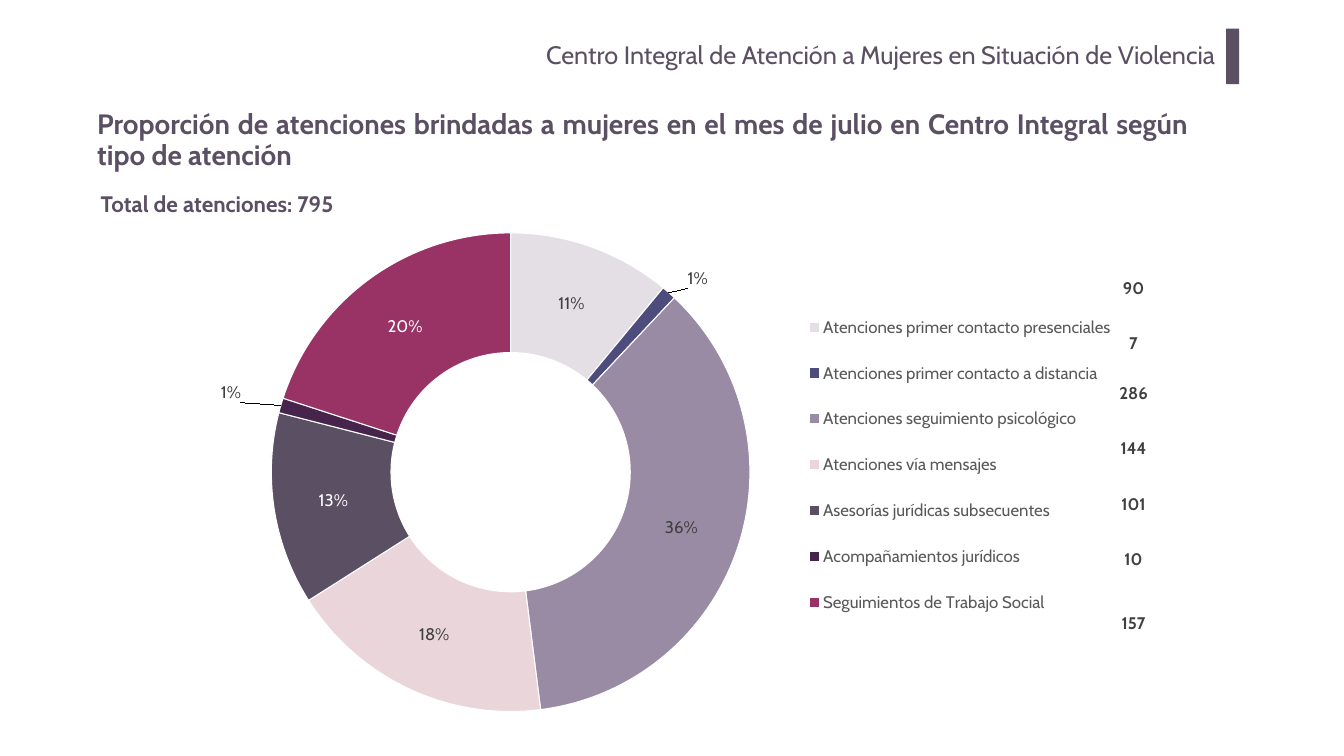
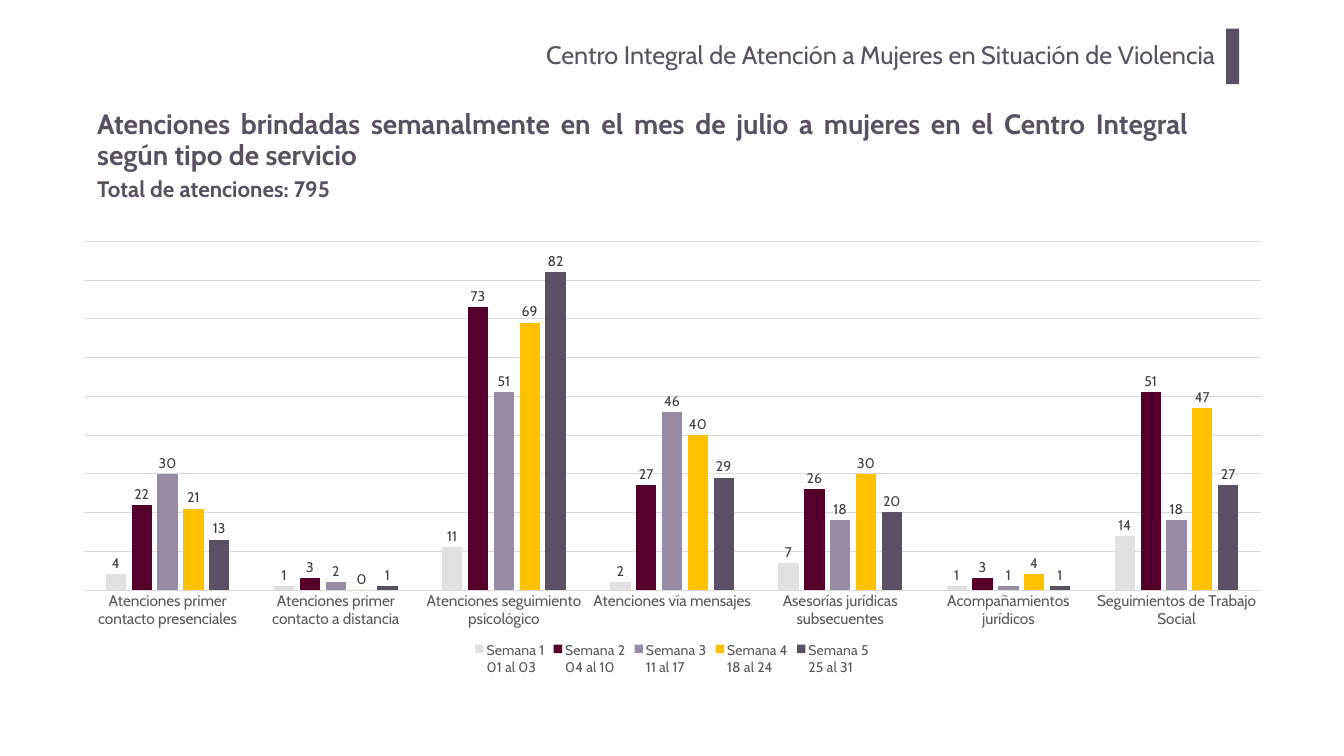
import pptx
import pptx.chart.data
import pptx.dml.color
import pptx.enum.chart
import pptx.enum.shapes
import pptx.enum.text
import pptx.oxml
import pptx.oxml.ns
import pptx.util

RGB = pptx.dml.color.RGBColor
Pt = pptx.util.Pt
ALIGN = pptx.enum.text.PP_ALIGN
ANCHOR = pptx.enum.text.MSO_ANCHOR
LEGEND = pptx.enum.chart.XL_LEGEND_POSITION
CHART = pptx.enum.chart.XL_CHART_TYPE
qn = pptx.oxml.ns.qn

PLUM = RGB(0x5B, 0x4F, 0x63)
MIST = RGB(0xE3, 0xDF, 0xE5)
LILAC = RGB(0x99, 0x8B, 0xA3)
INDIGO = RGB(0x4D, 0x4C, 0x7D)
BLUSH = RGB(0xE9, 0xD5, 0xDA)
GRAPE = RGB(0x46, 0x24, 0x4C)
MAGENTA = RGB(0x99, 0x33, 0x66)
WINE = RGB(0x54, 0x00, 0x2A)
AMBER = RGB(0xFF, 0xC0, 0x00)
INK = RGB(0x40, 0x40, 0x40)
GREY = RGB(0x59, 0x59, 0x59)
RULE = RGB(0xD9, 0xD9, 0xD9)
WHITE = RGB(0xFF, 0xFF, 0xFF)
BLACK = RGB(0, 0, 0)

CENTRE = "Centro Integral de Atención a Mujeres en Situación de Violencia"
TOTAL = "Total de atenciones: 795"
SERVICES = [
    "Atenciones primer contacto presenciales",
    "Atenciones primer contacto a distancia",
    "Atenciones seguimiento psicológico",
    "Atenciones vía mensajes",
    "Asesorías jurídicas subsecuentes",
    "Acompañamientos jurídicos",
    "Seguimientos de Trabajo Social",
]
SHARES = [11, 1, 36, 18, 13, 1, 20]
SHARE_COLOURS = [MIST, INDIGO, LILAC, BLUSH, PLUM, GRAPE, MAGENTA]
# Colour and shift of the share labels that differ from the rest
SHARE_LABELS = {1: (INK, (0.07, -0.12)), 4: (WHITE, None),
                5: (INK, (-0.11, -0.06)), 6: (WHITE, None)}
# Count of each service and the row where it stands
COUNTS = [(90, 36.47), (7, 43.73), (286, 50.33), (144, 57.6),
          (101, 64.93), (10, 72.27), (157, 80.67)]
WEEKS = [
    ("Semana 1\n01 al 03", MIST, (4, 1, 11, 2, 7, 1, 14)),
    ("Semana 2\n04 al 10", WINE, (22, 3, 73, 27, 26, 3, 51)),
    ("Semana 3\n11 al 17", LILAC, (30, 2, 51, 46, 18, 1, 18)),
    ("Semana 4\n18 al 24", AMBER, (21, 0, 69, 40, 30, 4, 47)),
    ("Semana 5\n25 al 31", PLUM, (13, 1, 82, 29, 20, 1, 27)),
]


def set_layout(parent, index, **parts):
    """Give a chart part a manual layout, in shares of the chart."""
    old = parent.find(qn("c:layout"))
    if old is not None:
        parent.remove(old)
    tags = "".join(f'<c:{k} val="{v}"/>' for k, v in parts.items())
    parent.insert(index, pptx.oxml.parse_xml(
        f'<c:layout {pptx.oxml.ns.nsdecls("c")}>'
        f'<c:manualLayout>{tags}</c:manualLayout></c:layout>'))


class Report:
    """Holds the style and the current slide; lengths are on a 100 by 100 grid."""

    FONT = "Cabin"
    GRID = 100

    def __init__(self):
        self.prs = pptx.Presentation()
        self.prs.slide_width = pptx.util.Inches(26.67)
        self.prs.slide_height = pptx.util.Inches(15)
        self.s = None

    def cells(self, left, top, width, height):
        col = self.prs.slide_width / self.GRID
        row = self.prs.slide_height / self.GRID
        return [pptx.util.Emu(round(n * unit)) for n, unit in
                zip((left, top, width, height), (col, row, col, row))]

    def style(self, font, size, colour, bold=False, name=FONT):
        font.name, font.size, font.bold = name, Pt(size), bold
        font.color.rgb = colour

    def fill_frame(self, tf, words, size, colour, bold=False, align=ALIGN.LEFT):
        tf.word_wrap = True
        tf.auto_size = pptx.enum.text.MSO_AUTO_SIZE.NONE
        p = tf.paragraphs[0]
        p.alignment = align
        r = p.add_run()
        r.text = words
        self.style(r.font, size, colour, bold)
        return p

    def text(self, words, box, size, colour=PLUM, bold=True, align=ALIGN.LEFT):
        tf = self.s.shapes.add_textbox(*self.cells(*box)).text_frame
        self.fill_frame(tf, words, size, colour, bold, align)
        return tf

    def bar(self, box, colour):
        sp = self.s.shapes.add_shape(
            pptx.enum.shapes.MSO_SHAPE.RECTANGLE, *self.cells(*box))
        sp.shadow.inherit = False
        sp.fill.solid()
        sp.fill.fore_color.rgb = colour
        sp.line.fill.background()

    def title(self, words):
        sp = self.s.shapes.title
        sp.left, sp.top, sp.width, sp.height = self.cells(6.86, 13.8, 81.93, 9.67)
        tf = sp.text_frame
        tf.vertical_anchor = ANCHOR.MIDDLE
        p = self.fill_frame(tf, words, 40, PLUM, True, ALIGN.JUSTIFY)
        p.line_spacing = 0.9
        p.space_before = Pt(0)

    def header(self):
        tf = self.text(CENTRE, (15.04, 4.47, 76.12, 6.8), 36,
                       bold=False, align=ALIGN.RIGHT)
        tf.margin_left = tf.margin_right = pptx.util.Inches(0.2)
        tf.margin_top = tf.margin_bottom = pptx.util.Inches(0.1)
        self.bar((91.23, 3.8, 0.97, 7.33), PLUM)

    def slide(self, title, total_at):
        self.s = self.prs.slides.add_slide(self.prs.slide_layouts[5])
        self.header()
        self.title(title)
        self.text(TOTAL, (*total_at, 21.15, 4.27), 32)

    def chart(self, kind, box, series, legend_at, legend_size, plot):
        data = pptx.chart.data.CategoryChartData()
        data.categories = SERVICES
        for name, values in series:
            data.add_series(name, values)
        chart = self.s.shapes.add_chart(kind, *self.cells(*box), data).chart
        self.style(chart.font, 10, BLACK, name="Arial")
        chart.has_title = False
        chart.has_legend = True
        chart.legend.position = legend_at
        chart.legend.include_in_layout = False
        self.style(chart.legend.font, legend_size, GREY)
        x, y, w, h = plot
        area = chart._chartSpace.find(".//" + qn("c:plotArea"))
        set_layout(area, 0, layoutTarget="inner", xMode="edge", yMode="edge",
                   x=x, y=y, w=w, h=h)
        return chart

    def share_label(self, point, colour, shift):
        """Format one percentage label and move it if a shift is given."""
        label = point.data_label
        self.style(label.font, 24, colour)
        dlbl = label._dLbl
        dlbl.find(qn("c:showVal")).set("val", "0")
        dlbl.find(qn("c:showPercent")).set("val", "1")
        if shift:
            set_layout(dlbl, 1, x=shift[0], y=shift[1])

    def doughnut(self, box):
        chart = self.chart(CHART.DOUGHNUT, box, [("Series 1", SHARES)],
                           LEGEND.RIGHT, 24, (0.09, 0.02, 0.49, 0.97))
        set_layout(chart.legend._element, 1, xMode="edge", yMode="edge",
                   x=0.63, y=0.14, w=0.33, h=0.7)
        ring = chart.plots[0].series[0]
        for i, colour in enumerate(SHARE_COLOURS):
            fmt = ring.points[i].format
            fmt.fill.solid()
            fmt.fill.fore_color.rgb = colour
            fmt.line.color.rgb = WHITE
            fmt.line.width = Pt(1.5)
        for i, (colour, shift) in SHARE_LABELS.items():
            self.share_label(ring.points[i], colour, shift)
        labels = ring.data_labels
        labels.show_value, labels.show_percentage = False, True
        self.style(labels.font, 24, INK)

    def columns(self, box):
        chart = self.chart(CHART.COLUMN_CLUSTERED, box,
                           [(name, values) for name, _, values in WEEKS],
                           LEGEND.BOTTOM, 20, (0.02, 0.02, 0.96, 0.78))
        plot = chart.plots[0]
        plot.vary_by_categories = False
        plot.gap_width, plot.overlap = 219, -27
        for series, (_, colour, _) in zip(plot.series, WEEKS):
            series.format.fill.solid()
            series.format.fill.fore_color.rgb = colour
            labels = series.data_labels
            labels.show_value = True
            labels.position = pptx.enum.chart.XL_LABEL_POSITION.OUTSIDE_END
            self.style(labels.font, 20, INK)
        names, scale = chart.category_axis, chart.value_axis
        names.major_tick_mark = pptx.enum.chart.XL_TICK_MARK.NONE
        self.style(names.tick_labels.font, 22, GREY)
        scale.visible = False
        scale.minimum_scale, scale.maximum_scale, scale.major_unit = 0, 90, 10
        scale.has_major_gridlines = True
        for line in (names.format.line, scale.major_gridlines.format.line):
            line.color.rgb = RULE
            line.width = Pt(0.75)


def main():
    report = Report()

    report.slide("Proporción de atenciones brindadas a mujeres en el mes de julio "
                 "en Centro Integral según tipo de atención", (7.12, 24.87))
    report.doughnut((13.65, 29.4, 72.67, 65.47))
    for count, row in COUNTS:
        report.text(str(count), (82.79, row, 3.1, 2.1), 24, INK,
                    align=ALIGN.CENTER)

    report.slide("Atenciones brindadas semanalmente en el mes de julio a mujeres "
                 "en el Centro Integral según tipo de servicio", (6.86, 22.87))
    report.columns((4.39, 30.73, 91.23, 59.13))

    report.prs.save("out.pptx")


if __name__ == "__main__":
    main()
